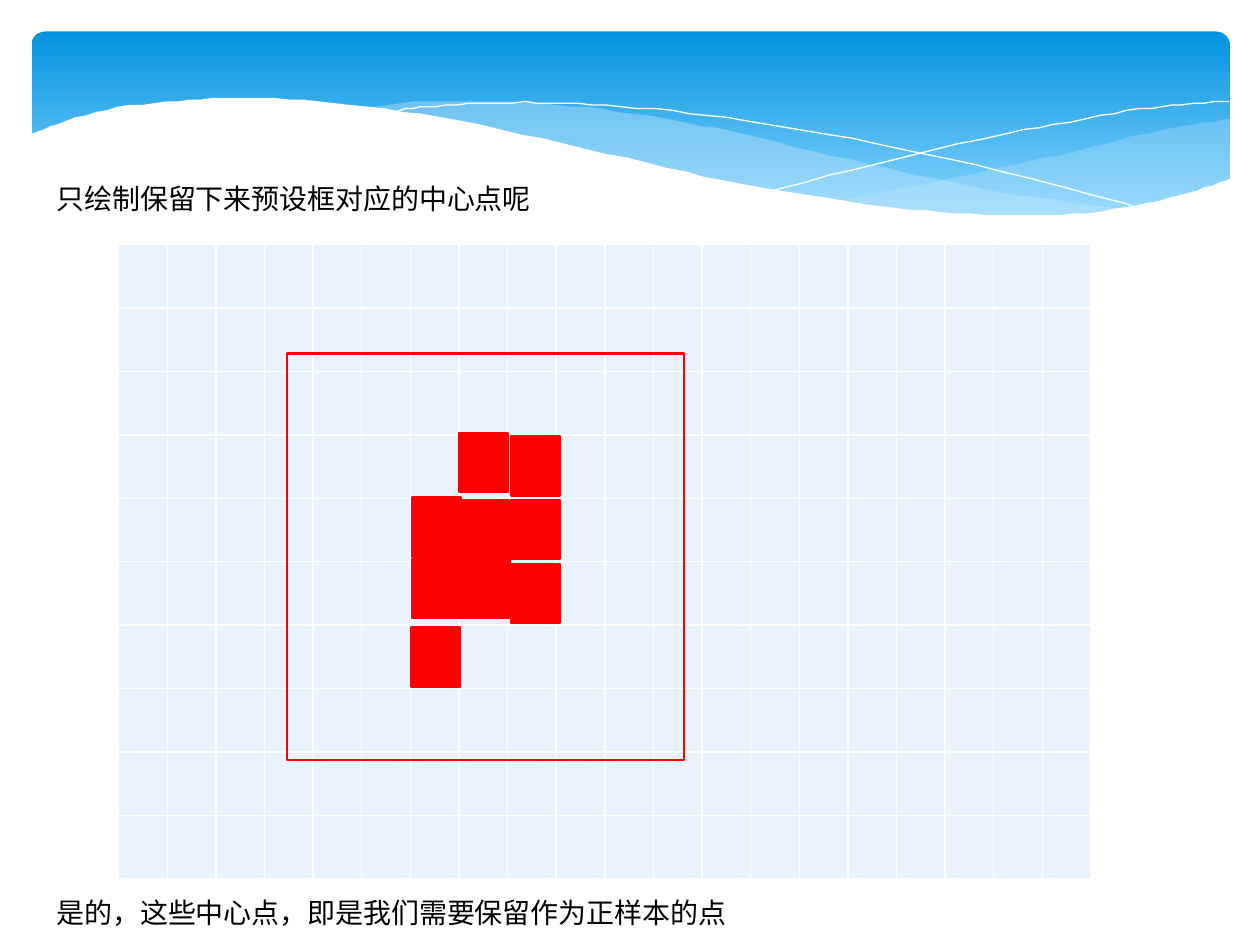
from lxml.etree import SubElement
from pptx import Presentation
from pptx.dml.color import RGBColor
from pptx.enum.shapes import MSO_SHAPE
from pptx.enum.text import MSO_AUTO_SIZE
from pptx.oxml.ns import qn
from pptx.util import Pt

COLORS = {"sky": "0293E0", "pale": "83D3FE", "mist": "C6E7FC", "white": "FFFFFF",
          "cell": "E8F3FF", "red": "FF0000", "black": "000000"}
FONT = "Noto Sans CJK SC"

RIGHT_WAVE = [
    [(476, 115.2), (525, 105.8), (579.6, 94.3), (620, 85), (652, 77), (682.6, 71.3), (702.7, 67.7)],
    [(702.7, 101.5), (678, 110.9), (651.6, 117.4), (621, 122.4), (586, 123.8), (545, 122.4),
     (507.6, 118.8), (476, 115.2)],
]
LONG_WAVE = [
    [(206, 61.9), (236, 58.3), (273.6, 57.6), (318, 59.8), (361.4, 64.8), (409.7, 73.4),
     (453, 83.5), (508, 96.5), (558, 107.3), (602.6, 114.5), (643, 120.2)],
    [(643, 120.2), (617, 123.1), (589, 124.6), (548, 123.1), (500.4, 118.8), (456.5, 112.3),
     (407.5, 103), (323.3, 83.5), (275.8, 72.7), (232.6, 64.8), (206, 61.9)],
]
FALLING_LINE = [[(222.5, 64.8), (236, 61.9), (261, 59.8), (299.5, 58.5), (337.7, 59.8),
                 (383.8, 63.4), (437.8, 70.6), (500.4, 82.1), (572.4, 97.9), (653, 119.5)]]
RISING_LINE = [[(441.4, 108.7), (500.4, 93.6), (558.7, 79.9), (602, 71.3), (644.4, 63.4),
                (675.4, 59.8), (702.5, 57.6)]]
WHITE_WAVE = [
    [(16.8, 77), (33, 70.6), (61, 62.6), (95, 58.2), (127.5, 56.2), (165.6, 56.9), (210, 61.2),
     (263, 69.1), (322, 82.1), (381, 95.8), (434, 107.3), (495, 116.6), (536, 121),
     (582.5, 123.1), (621, 121.7), (662, 114.5), (684, 108.7), (703.2, 101.5)],
    [(703.2, 161), (16.8, 161)],
]
CENTERS = [(263.4, 319.6), (262.8, 285.6), (235.4, 319.6), (235.4, 284.3), (262.3, 247.6),
           (291.8, 322.3), (291.8, 285.8), (291.8, 249.4), (234.8, 358.6)]


def smooth(pts, steps=5):
    ends = [pts[0], *pts, pts[-1]]
    out = [pts[0]]
    for a, b, c, d in zip(ends, ends[1:], ends[2:], ends[3:]):
        for t in (i / steps for i in range(1, steps + 1)):
            out.append(tuple(
                (2 * q + (m - p) * t + (2 * p - 5 * q + 4 * m - n) * t ** 2
                 + (3 * q - p - 3 * m + n) * t ** 3) / 2
                for p, q, m, n in zip(a, b, c, d)))
    return out


def rgb(name):
    return RGBColor.from_string(COLORS[name])


def add_run(p, text, size=16, color="black", font=FONT):
    r = p.add_run()
    r.text = text
    r.font.size = Pt(size)
    r.font.name = font
    r.font.color.rgb = rgb(color)
    SubElement(r._r.get_or_add_rPr(), qn("a:ea"), typeface=font)
    return r


class Deck:
    def __init__(self, s):
        self.s = s
        self.line_width = 1.25

    def paint(self, sp, fill=None, line=None, width=None, alpha=None):
        sp.shadow.inherit = False
        if fill:
            sp.fill.solid()
            sp.fill.fore_color.rgb = rgb(fill)
        else:
            sp.fill.background()
        if alpha:
            clr = sp._element.spPr.find(".//" + qn("a:srgbClr"))
            SubElement(clr, qn("a:alpha"), val=str(alpha * 1000))
        if line:
            sp.line.color.rgb = rgb(line)
            sp.line.width = Pt(self.line_width if width is None else width)
        else:
            sp.line.fill.background()
        return sp

    def banner(self, x, y, w, h):
        sp = self.paint(self.s.shapes.add_shape(MSO_SHAPE.ROUNDED_RECTANGLE, Pt(x), Pt(y), Pt(w), Pt(h)))
        sp.adjustments[0] = 0.07
        sp.fill.gradient()
        sp.fill.gradient_angle = 270
        for stop, name, pos in zip(sp.fill.gradient_stops, ("sky", "pale"), (0, 0.9)):
            stop.color.rgb = rgb(name)
            stop.position = pos

    def curve(self, edges, closed=True, **style):
        pts = [pt for edge in edges for pt in (smooth(edge) if len(edge) > 2 else edge)]
        fb = self.s.shapes.build_freeform(*pts[0], scale=Pt(1))
        fb.add_line_segments(pts[1:], close=closed)
        self.paint(fb.convert_to_shape(), **style)

    def rect(self, x, y, w, h, **style):
        self.paint(self.s.shapes.add_shape(MSO_SHAPE.RECTANGLE, Pt(x), Pt(y), Pt(w), Pt(h)), **style)

    def grid(self, x, y, w, h, rows, cols):
        tbl = self.s.shapes.add_table(rows, cols, Pt(x), Pt(y), Pt(w), Pt(h)).table
        tbl.first_row = tbl.horz_banding = False
        for col in tbl.columns:
            col.width = Pt(w / cols)
        for row in tbl.rows:
            row.height = Pt(h / rows)
        for cell in tbl.iter_cells():
            tc_pr = cell._tc.get_or_add_tcPr()
            for side in "LRTB":
                ln = SubElement(tc_pr, qn("a:ln" + side), w=str(Pt(1)))
                SubElement(SubElement(ln, qn("a:solidFill")), qn("a:srgbClr"), val=COLORS["white"])
            cell.fill.solid()
            cell.fill.fore_color.rgb = rgb("cell")

    def text(self, x, y, w, h, text, **fmt):
        tf = self.s.shapes.add_textbox(Pt(x), Pt(y), Pt(w), Pt(h)).text_frame
        tf.word_wrap = False
        tf.auto_size = MSO_AUTO_SIZE.SHAPE_TO_FIT_TEXT
        add_run(tf.paragraphs[0], text, **fmt)


def main():
    prs = Presentation()
    prs.slide_width, prs.slide_height = Pt(720), Pt(540)
    deck = Deck(prs.slides.add_slide(prs.slide_layouts[6]))

    deck.banner(18, 18, 684.7, 112.3)
    deck.curve(RIGHT_WAVE, fill="mist", alpha=29)
    deck.curve(LONG_WAVE, fill="mist", alpha=40)
    for edges in (FALLING_LINE, RISING_LINE):
        deck.curve(edges, closed=False, line="white", width=0)
    deck.curve(WHITE_WAVE, fill="white")

    deck.grid(67.8, 139.7, 555.6, 362.6, rows=10, cols=20)
    deck.rect(164, 202, 226.8, 232.4, line="red")
    deck.text(25.2, 100, 289.4, 26.6, "只绘制保留下来预设框对应的中心点呢")
    for x, y in CENTERS:
        deck.rect(x, y, 28.1, 33.8, fill="red", line="red")
    deck.text(25.2, 508.3, 402.5, 26.6, "是的，这些中心点，即是我们需要保留作为正样本的点")

    prs.save("out.pptx")


if __name__ == "__main__":
    main()
